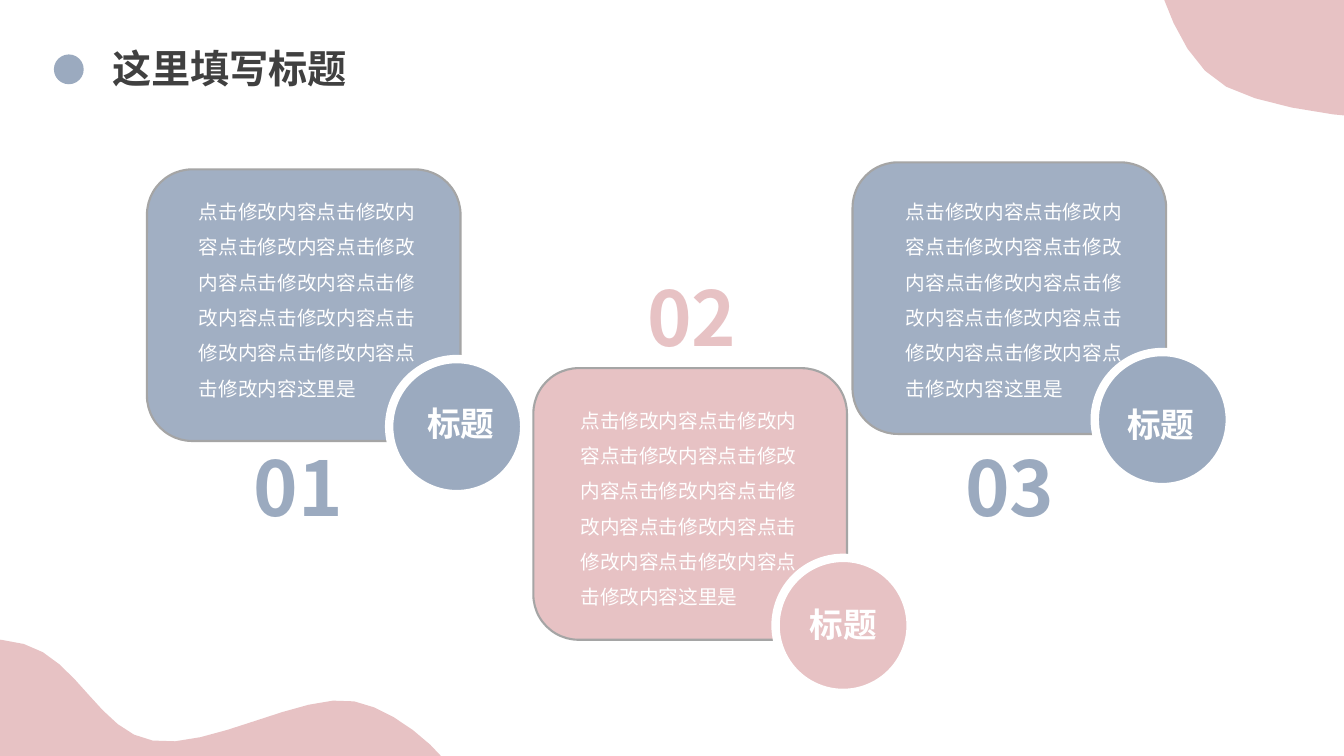
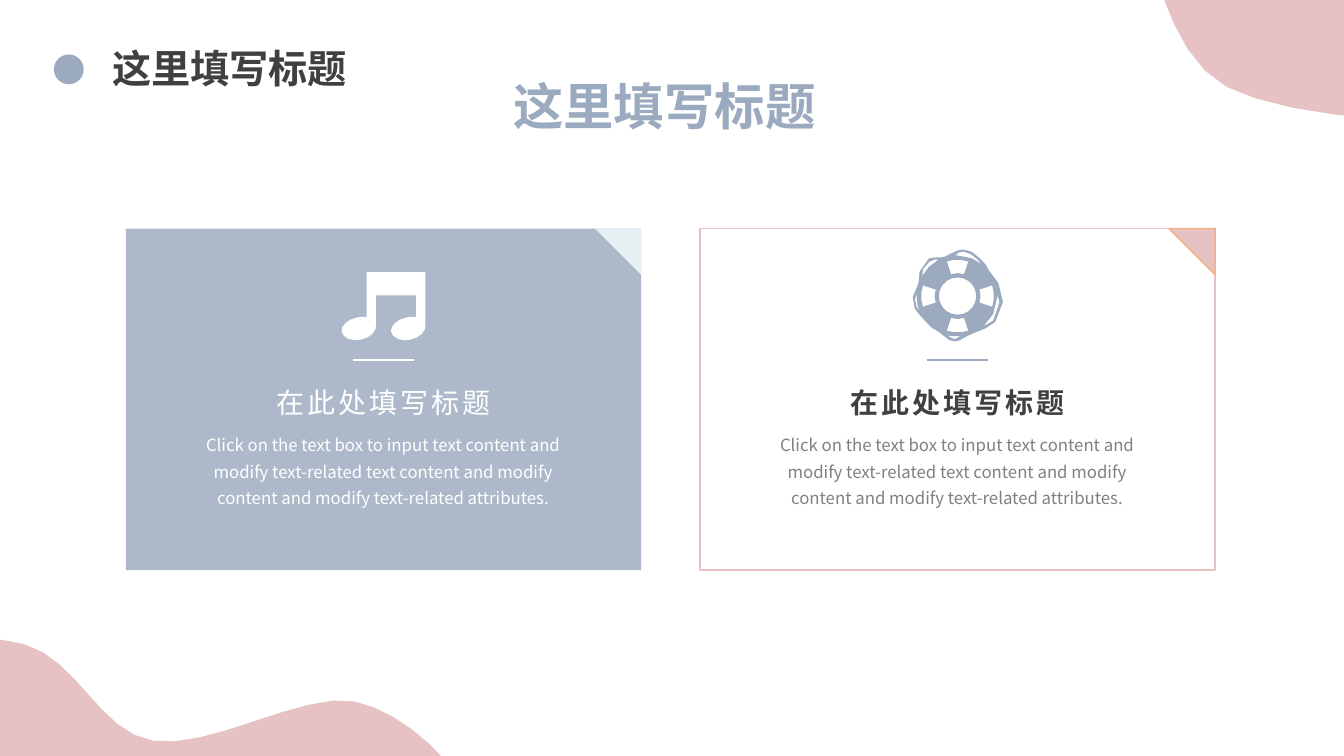
"""Build two slides of cards framed by shared pastel corner waves."""
import math

from lxml import etree
from pptx import Presentation
from pptx.dml.color import RGBColor
from pptx.enum.shapes import MSO_CONNECTOR, MSO_SHAPE
from pptx.enum.text import MSO_ANCHOR, PP_ALIGN
from pptx.oxml.ns import qn
from pptx.util import Pt

OVAL, RECT = MSO_SHAPE.OVAL, MSO_SHAPE.RECTANGLE
ROUNDED, TRIANGLE = MSO_SHAPE.ROUNDED_RECTANGLE, MSO_SHAPE.RIGHT_TRIANGLE
STRAIGHT = MSO_CONNECTOR.STRAIGHT
LEFT, CENTER = PP_ALIGN.LEFT, PP_ALIGN.CENTER
TOP, MIDDLE = MSO_ANCHOR.TOP, MSO_ANCHOR.MIDDLE

FONT = "Noto Sans CJK SC"
COLORS = {
    "pink": "E7C2C4", "blue": "9BAABF", "card_blue": "A1AFC3",
    "panel_blue": "ADB9CA", "ice": "E7F1F3", "orange": "F4B183",
    "edge": "A5A5A5", "dark": "404040", "gray": "808080", "white": "FFFFFF",
}

TITLE = "这里填写标题"
CARD_TEXT = "点击修改内容" * 10 + "这里是"
CARD_LABEL = "标题"
PANEL_TITLE = "在此处填写标题"
PANEL_TEXT = ("Click on the text box to input text content and modify text-related "
              "text content and modify content and modify text-related attributes.")

CARDS = [
    {"number": "01", "at": (105, 121), "fill": "card_blue", "accent": "blue",
     "text": (135, 131), "label": (298, 284), "number_at": (166, 311)},
    {"number": "02", "at": (381, 263), "fill": "pink", "accent": "pink",
     "text": (407.5, 280), "label": (571.5, 428), "number_at": (447, 190)},
    {"number": "03", "at": (609, 116), "fill": "card_blue", "accent": "blue",
     "text": (640, 131), "label": (798, 285), "number_at": (674, 311)},
]
PANELS = [
    {"fill": "panel_blue", "line": None, "corner": "ice", "corner_line": None,
     "rule": "white", "title": "white", "bold": False, "text": "white"},
    {"fill": None, "line": "pink", "corner": "pink", "corner_line": "orange",
     "rule": "blue", "title": "dark", "bold": True, "text": "gray"},
]

WAVES = [
    [(811, -66), (821, -45, 831, 38, 876, 62), (922, 86, 1047, 94, 1084, 76),
     (1122, 57, 1128, -25, 1102, -52), (1075, -79, 971, -84, 924, -86),
     (876, -88, 834, -67, 815, -64), (796, -60, 801, -86, 811, -66)],
    [(-122, 467), (-99, 458, -21, 450, 17, 460), (56, 471, 71, 523, 109, 529),
     (149, 536, 216, 494, 253, 501), (290, 508, 335, 553, 331, 572),
     (328, 592, 308, 626, 232, 616), (156, 606, -68, 539, -126, 514),
     (-185, 488, -146, 476, -122, 467)],
]
NOTE_HEAD = [(262, 226.8), (260.6, 226.1, 257.8, 226.1, 254.9, 226.8),
             (247.7, 228.2, 243.4, 233.3, 244.1, 236.9),
             (244.8, 241.2, 251.3, 244.1, 257.8, 242.6),
             (265, 241.2, 269.3, 236.2, 268.6, 231.8)]
BUOY_ROPE = [
    [(712.8, 202.3), (706.3, 193.7),
     (704.9, 190.8, 702.7, 187.2, 700.6, 185.8), (699.1, 184.3),
     (696.2, 181.4, 692.6, 178.6, 688.3, 178.6),
     (686.2, 178.6, 683.3, 179.3, 681.1, 180.7),
     (675.4, 184.3, 673.2, 184.3, 671, 184.3), (668.9, 184.3),
     (668.2, 184.3, 666, 184.3, 663.8, 185),
     (655.9, 188.6, 656.6, 200.2, 656.6, 201.6), (655.9, 203.8),
     (653, 209.5, 650.2, 215.3, 653.8, 220.3),
     (655.9, 223.2, 658.1, 226.1, 661.7, 229.7),
     (663.8, 232.6, 667.4, 235.4, 671, 236.9), (674.6, 239.8),
     (677.5, 242.6, 679.7, 243.4, 681.8, 243.4),
     (683.3, 243.4, 684.7, 243.4, 686.9, 241.9),
     (689, 240.5, 691.9, 239, 695.5, 237.6),
     (701.3, 235.4, 707, 233.3, 710.6, 229.7),
     (717.1, 223.2, 717.8, 208.1, 712.8, 202.3)],
    [(681.8, 182.2), (684, 180, 686.2, 179.3, 688.3, 179.3),
     (692.6, 179.3, 695.5, 182.9, 698.4, 185), (702.7, 190.1),
     (697.7, 185.8, 691.2, 182.9, 684, 182.9), (679.7, 182.9)],
    [(663.8, 186.5), (666, 185, 668.2, 185, 671.8, 185),
     (666, 187.9, 661, 193, 658.1, 198.7),
     (658.1, 195.1, 658.8, 188.6, 663.8, 186.5)],
    [(654.5, 219.6), (652.3, 216, 653, 211.7, 655.2, 207.4), (655.2, 211.7),
     (655.2, 216, 655.9, 220.3, 658.1, 224.6)],
    [(686.2, 240.5), (684, 241.9, 682.6, 242.6, 681.8, 242.6),
     (680.4, 242.6, 678.2, 241.2, 675.4, 239),
     (678.2, 239.8, 680.4, 239.8, 684, 239.8), (687.6, 239.8)],
    [(709.9, 229), (707.8, 230.4, 704.9, 232.6, 701.3, 234),
     (707.8, 229, 712.1, 220.3, 712.1, 211.7),
     (712.1, 208.1, 712.1, 205.2, 710.6, 202.3),
     (715, 209, 716.4, 223.2, 709.9, 229)],
]
BUOY_CENTER = (684, 211.5)


def rgb(name):
    return RGBColor.from_string(COLORS[name])


def paint(sp, fill=None, line=None, width=1):
    sp.shadow.inherit = False
    if fill:
        sp.fill.solid()
        sp.fill.fore_color.rgb = rgb(fill)
    else:
        sp.fill.background()
    if line:
        sp.line.color.rgb = rgb(line)
        sp.line.width = Pt(width)
    else:
        sp.line.fill.background()
    return sp


def add_preset(s, kind, x, y, w, h, **look):
    return paint(s.shapes.add_shape(kind, Pt(x), Pt(y), Pt(w), Pt(h)), **look)


def flatten(path, steps):
    """Turn points and cubic segments into a list of points."""
    points = [path[0]]
    for seg in path[1:]:
        if len(seg) == 2:
            points.append(seg)
            continue
        nodes = [points[-1], seg[:2], seg[2:4], seg[4:]]
        for i in range(1, steps + 1):
            t = i / steps
            weights = ((1 - t) ** 3, 3 * t * (1 - t) ** 2, 3 * t * t * (1 - t), t ** 3)
            points.append(tuple(sum(k * n[a] for k, n in zip(weights, nodes))
                                for a in (0, 1)))
    return points


def add_outline(s, paths, steps, **look):
    builder = None
    for path in paths:
        points = [(Pt(x), Pt(y)) for x, y in flatten(path, steps)]
        if builder is None:
            builder = s.shapes.build_freeform(*points[0], scale=1.0)
        else:
            builder.move_to(*points[0])
        builder.add_line_segments(points[1:], close=True)
    return paint(builder.convert_to_shape(), **look)


def write(sp, text, size, color, bold=False, align=CENTER, anchor=MIDDLE,
          pitch=None, tracking=0):
    tf = sp.text_frame
    frame = {"word_wrap": True, "vertical_anchor": anchor,
             "margin_left": Pt(7.2), "margin_right": Pt(7.2),
             "margin_top": Pt(3.6), "margin_bottom": Pt(3.6)}
    for name, value in frame.items():
        setattr(tf, name, value)
    p = tf.paragraphs[0]
    p.alignment = align
    p.line_spacing = Pt(pitch) if pitch else 1.0
    r = p.add_run()
    r.text = text
    for name, value in {"name": FONT, "size": Pt(size), "bold": bold}.items():
        setattr(r.font, name, value)
    r.font.color.rgb = rgb(color)
    props = r.font._element
    etree.SubElement(props, qn("a:ea")).set("typeface", FONT)
    if tracking:
        props.set("spc", str(tracking * 100))


def add_text(s, x, y, w, h, *args, **look):
    write(s.shapes.add_textbox(Pt(x), Pt(y), Pt(w), Pt(h)), *args, **look)


def add_rule(s, x, y, length, color):
    line = s.shapes.add_connector(STRAIGHT, Pt(x), Pt(y), Pt(x + length), Pt(y))
    line.line.color.rgb = rgb(color)
    line.line.width = Pt(1.5)
    etree.SubElement(line._element.spPr, qn("a:effectLst"))


def new_slide(prs):
    s = prs.slides.add_slide(prs.slide_layouts[5])
    for wave in WAVES:
        add_outline(s, [wave], 8, fill="pink")
    title = s.shapes.title
    box = {"left": 54, "top": 28, "width": 220, "height": 41}
    for name, value in box.items():
        setattr(title, name, Pt(value))
    write(title, TITLE, 28, "dark", bold=True)
    add_preset(s, OVAL, 38.5, 38.9, 21.3, 21.3, fill="blue")
    return s


def arc(radius, start, end, steps):
    """Return points on a buoy circle between two angles in degrees."""
    cx, cy = BUOY_CENTER
    angles = [math.radians(start + (end - start) * i / steps) for i in range(steps + 1)]
    return [(cx + radius * math.cos(a), cy + radius * math.sin(a)) for a in angles]


def add_note(s):
    second = [tuple(v + 35.3 * (i % 2 == 0) for i, v in enumerate(seg))
              for seg in NOTE_HEAD]
    path = [(262, 194.4), *NOTE_HEAD, (268.6, 211), (297.3, 211), *second, (303.9, 194.4)]
    add_outline(s, [path], 4, fill="white")


def add_buoy(s):
    windows = [arc(26.3, a - 18, a + 18, 3) + arc(16, a + 18, a - 18, 2)
               for a in range(0, 360, 90)]
    add_outline(s, BUOY_ROPE + [arc(13.7, 0, 360, 20)] + windows, 2,
                fill="blue", line="blue", width=0.75)


def add_card(s, card):
    x, y = card["at"]
    add_text(s, *card["number_at"], 94.5, 72.5, card["number"], 54, card["accent"], bold=True)
    add_preset(s, ROUNDED, x, y, 224, 194, fill=card["fill"], line="edge", width=1.5)
    add_preset(s, OVAL, x + 173, y + 135.5, 96.5, 96.5,
               fill=card["accent"], line="white", width=6)
    add_text(s, *card["text"], 182, 157, CARD_TEXT, 14, "white",
             align=LEFT, anchor=TOP, pitch=25.2)
    add_text(s, *card["label"], 80, 36, CARD_LABEL, 24, "white", bold=True, align=LEFT)


def add_panel(s, x, panel):
    y, width, fold = 163.3, 368, 33
    add_preset(s, RECT, x, y, width, 244, fill=panel["fill"], line=panel["line"])
    corner = add_preset(s, TRIANGLE, x + width - fold, y, fold, fold,
                        fill=panel["corner"], line=panel["corner_line"])
    corner.rotation = 180
    add_rule(s, x + 162, 257, 44, panel["rule"])
    add_text(s, x + 44, 302.5, 279.5, 62, PANEL_TEXT, 12, panel["text"],
             anchor=TOP, pitch=19)
    add_text(s, x + 88.5, 270, 191, 34.5, PANEL_TITLE, 20, panel["title"],
             bold=panel["bold"], tracking=2)


def main():
    prs = Presentation()
    prs.slide_width, prs.slide_height = Pt(960), Pt(540)
    s = new_slide(prs)
    for card in CARDS:
        add_card(s, card)
    s = new_slide(prs)
    for i, panel in enumerate(PANELS):
        add_panel(s, 90 + 410 * i, panel)
    add_note(s)
    add_buoy(s)
    add_text(s, 335.5, 49.5, 278, 51, TITLE, 36, "blue", bold=True)
    prs.save("out.pptx")


if __name__ == "__main__":
    main()
